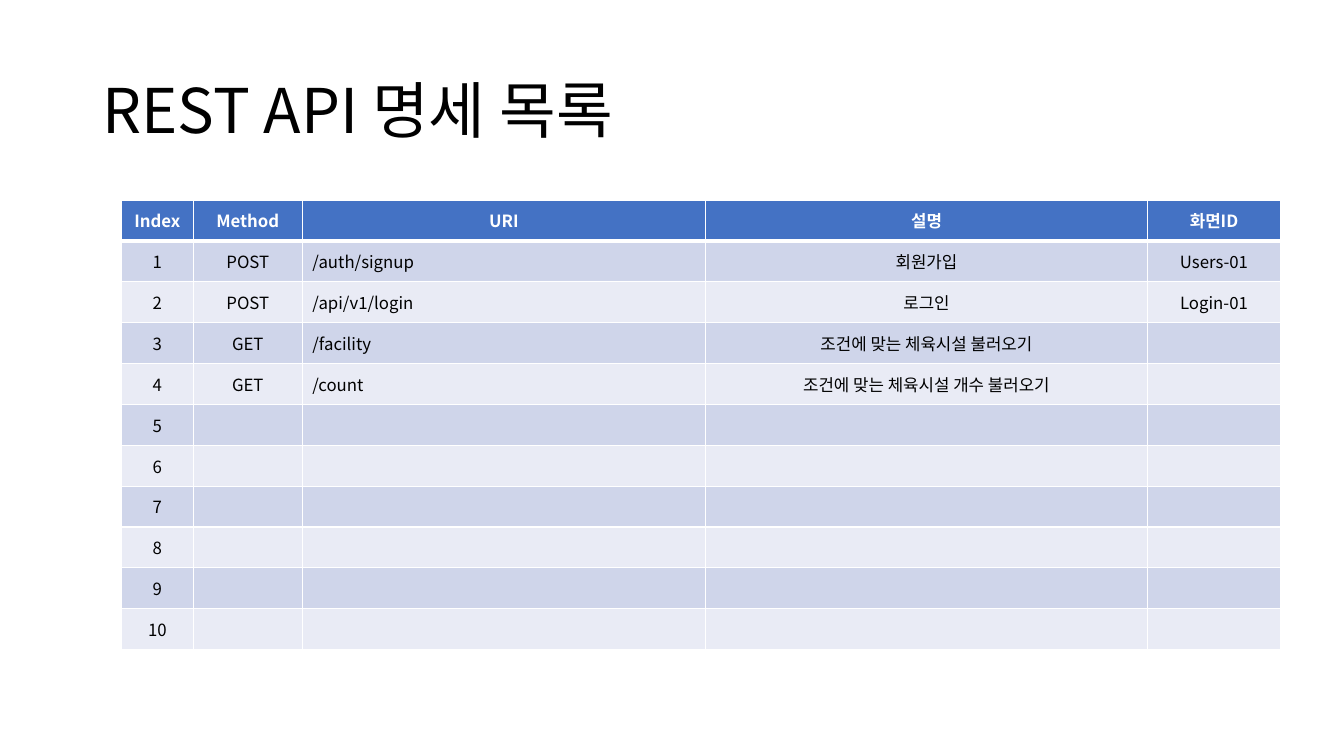
from lxml.etree import SubElement
from pptx import Presentation
from pptx.dml.color import RGBColor
from pptx.enum.text import MSO_ANCHOR as Anchor, PP_ALIGN as Align
from pptx.oxml.ns import qn
from pptx.util import Cm, Pt

FONT = "Noto Sans CJK KR"
BLACK = RGBColor(0x00, 0x00, 0x00)
WHITE = RGBColor(0xFF, 0xFF, 0xFF)
HEADER_BLUE = RGBColor(0x44, 0x72, 0xC4)
BAND_DARK = RGBColor(0xCF, 0xD5, 0xEA)
BAND_LIGHT = RGBColor(0xE9, 0xEB, 0xF5)

HEADERS = ["Index", "Method", "URI", "설명", "화면ID"]
COL_WIDTHS = [1.81, 2.75, 10.16, 11.14, 3.35]
URI_COL = HEADERS.index("URI")
ROW_COUNT = 10
APIS = [
    ["POST", "/auth/signup", "회원가입", "Users-01"],
    ["POST", "/api/v1/login", "로그인", "Login-01"],
    ["GET", "/facility", "조건에 맞는 체육시설 불러오기", ""],
    ["GET", "/count", "조건에 맞는 체육시설 개수 불러오기", ""],
]


def write(tf, text, size, color, bold=False, align=Align.LEFT):
    p = tf.paragraphs[0]
    p.text = text
    p.alignment = align
    p.font.name = FONT
    p.font.size = Pt(size)
    p.font.bold = bold
    p.font.color.rgb = color
    # Korean glyphs take the East Asian typeface
    latin = p.font._rPr.find(qn("a:latin"))
    ea = latin.makeelement(qn("a:ea"), {"typeface": FONT})
    latin.addnext(ea)
    return p


def set_borders(cell, bottom):
    tcPr = cell._tc.get_or_add_tcPr()
    for side, width in (("L", 1), ("R", 1), ("T", 1), ("B", bottom)):
        ln = SubElement(tcPr, qn(f"a:ln{side}"), w=str(Pt(width)))
        fill = SubElement(ln, qn("a:solidFill"))
        SubElement(fill, qn("a:srgbClr"), val=str(WHITE))


def add_title(s, text, left, top, width, height):
    tf = s.shapes.add_textbox(left, top, width, height).text_frame
    tf.word_wrap = True
    tf.vertical_anchor = Anchor.MIDDLE
    write(tf, text, 44, BLACK).line_spacing = 0.9


def add_api_table(s, left, top, width, height):
    rows = [HEADERS]
    for i in range(ROW_COUNT):
        api = APIS[i] if i < len(APIS) else [""] * (len(HEADERS) - 1)
        rows.append([str(i + 1)] + api)

    table = s.shapes.add_table(len(rows), len(HEADERS), left, top, width, height).table
    for col, col_width in zip(table.columns, COL_WIDTHS):
        col.width = Cm(col_width)

    for i, row in enumerate(rows):
        header = i == 0
        band = HEADER_BLUE if header else BAND_DARK if i % 2 else BAND_LIGHT
        for j, text in enumerate(row):
            cell = table.cell(i, j)
            cell.vertical_anchor = Anchor.MIDDLE
            # Borders precede the fill in the cell properties
            set_borders(cell, bottom=3 if header else 1)
            cell.fill.solid()
            cell.fill.fore_color.rgb = band
            align = Align.LEFT if j == URI_COL and not header else Align.CENTER
            write(cell.text_frame, text, 12, WHITE if header else BLACK, header, align)


def main():
    prs = Presentation()
    prs.slide_width, prs.slide_height = Cm(33.87), Cm(19.05)
    s = prs.slides.add_slide(prs.slide_layouts[6])
    add_title(s, "REST API 명세 목록", Cm(2.33), Cm(1.01), Cm(29.21), Cm(3.68))
    add_api_table(s, Cm(3.06), Cm(5.04), Cm(sum(COL_WIDTHS)), Cm(11.33))
    prs.save("out.pptx")


if __name__ == "__main__":
    main()
